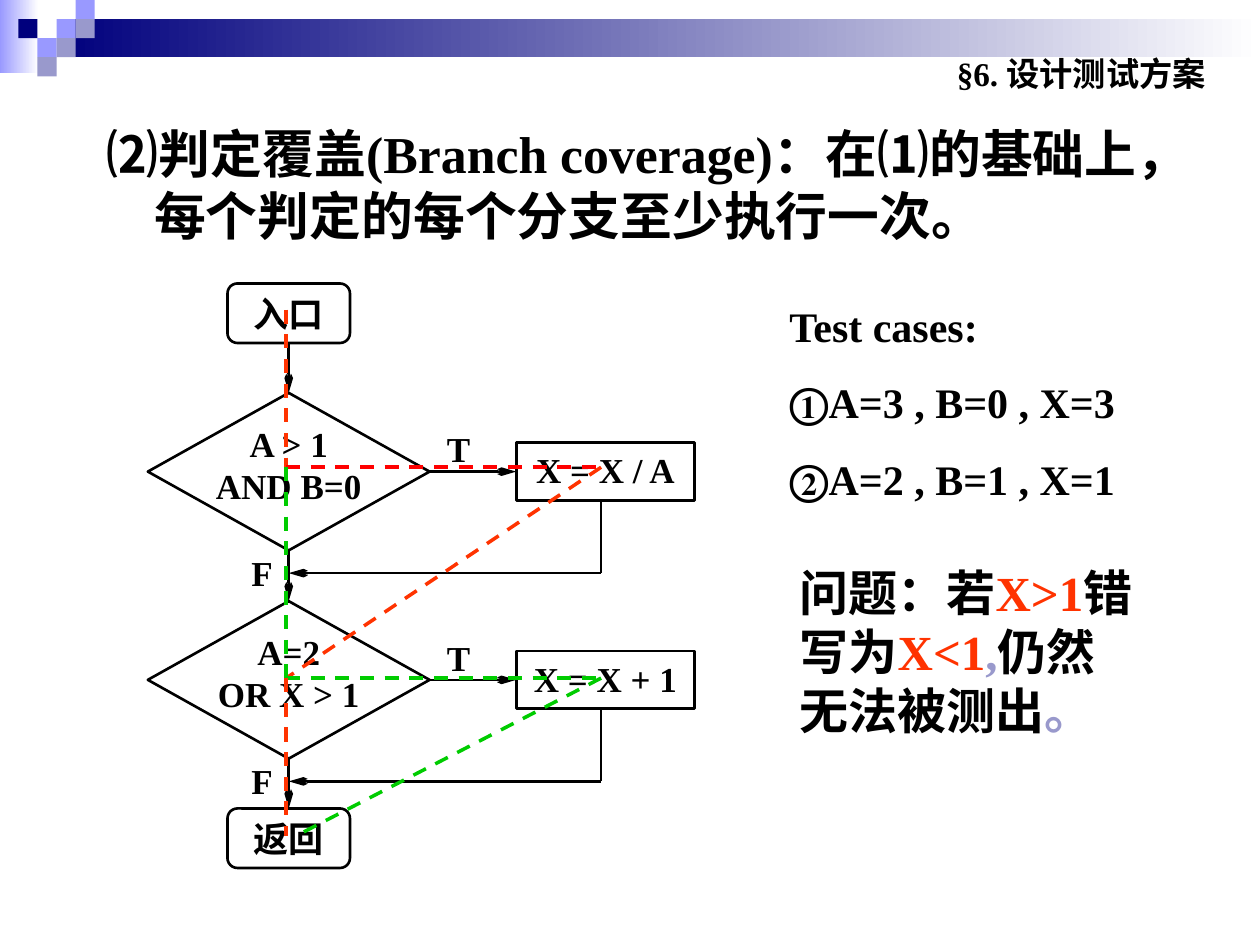
from pptx import Presentation
from pptx.dml.color import RGBColor
from pptx.enum.dml import MSO_LINE
from pptx.enum.shapes import MSO_CONNECTOR, MSO_SHAPE
from pptx.enum.text import MSO_ANCHOR, PP_ALIGN
from pptx.oxml.ns import qn
from pptx.util import Pt
from lxml import etree

RECT = MSO_SHAPE.RECTANGLE
TERMINAL = MSO_SHAPE.FLOWCHART_ALTERNATE_PROCESS
DECISION = MSO_SHAPE.FLOWCHART_DECISION
STRAIGHT = MSO_CONNECTOR.STRAIGHT
DASH = MSO_LINE.DASH
LEFT, CENTER, RIGHT = PP_ALIGN.LEFT, PP_ALIGN.CENTER, PP_ALIGN.RIGHT
TOP, MIDDLE = MSO_ANCHOR.TOP, MSO_ANCHOR.MIDDLE
SIDE_TOP, SIDE_LEFT, SIDE_BOTTOM, SIDE_RIGHT = range(4)

COLORS = {
    "black": "000000", "white": "FFFFFF", "navy": "00007D",
    "periwinkle": "9999FF", "lavender": "9999CC",
    "orange": "FF3300", "red": "FF0000", "green": "00CC00",
}


def rgb(name):
    return RGBColor.from_string(COLORS[name])


class SlideBuilder:
    font = "Times New Roman"
    insets = (7.2, 3.6, 7.2, 3.6)

    def __init__(self, slide):
        self.shapes = slide.shapes

    def style_run(self, run, size, color="black"):
        run.font.name, run.font.size, run.font.bold = self.font, Pt(size), True
        run.font.color.rgb = rgb(color)

    def set_frame(self, frame, anchor, wrap, insets):
        frame.word_wrap, frame.vertical_anchor = wrap, anchor
        (frame.margin_left, frame.margin_top,
         frame.margin_right, frame.margin_bottom) = map(Pt, insets)

    def fill_frame(self, frame, text, size, align, gap=0):
        """Fill the frame, one paragraph per line, with gap points between them."""
        frame.text = text
        for index, paragraph in enumerate(frame.paragraphs):
            paragraph.alignment = align
            paragraph.space_before = Pt(gap if index else 0)
            for run in paragraph.runs:
                self.style_run(run, size)

    def text(self, box, text, size, align=LEFT, anchor=TOP, gap=0):
        frame = self.shapes.add_textbox(*map(Pt, box)).text_frame
        self.set_frame(frame, anchor, True, self.insets)
        self.fill_frame(frame, text, size, align, gap)
        return frame

    def colored_text(self, box, pieces, size):
        """Add one paragraph made of (text, color) pieces."""
        frame = self.text(box, "", size)
        for piece, color in pieces:
            run = frame.paragraphs[0].add_run()
            run.text = piece
            self.style_run(run, size, color)

    def block(self, box, color, fade=False):
        """Draw an unlined rectangle, plain or fading to white on the right."""
        shape = self.shapes.add_shape(RECT, *map(Pt, box))
        shape.shadow.inherit = False
        shape.line.fill.background()
        if fade:
            shape.fill.gradient()
            shape.fill.gradient_angle = 0
            for stop, name in zip(shape.fill.gradient_stops, (color, "white")):
                stop.color.rgb = rgb(name)
        else:
            shape.fill.solid()
            shape.fill.fore_color.rgb = rgb(color)

    def node(self, kind, box, text, anchor=MIDDLE, wrap=False, insets=insets):
        shape = self.shapes.add_shape(kind, *map(Pt, box))
        shape.shadow.inherit = False
        shape.fill.background()
        shape.line.color.rgb, shape.line.width = rgb("black"), Pt(1.5)
        self.set_frame(shape.text_frame, anchor, wrap, insets)
        self.fill_frame(shape.text_frame, text, 20, CENTER)
        return shape

    def line(self, start, end, color="black", width=1.5, dash=None, arrow=False):
        connector = self.shapes.add_connector(STRAIGHT, *map(Pt, (*start, *end)))
        connector.line.color.rgb, connector.line.width = rgb(color), Pt(width)
        if dash:
            connector.line.dash_style = dash
        properties = connector._element.spPr
        if arrow:
            etree.SubElement(properties.find(qn("a:ln")), qn("a:tailEnd"),
                             type="arrow", w="sm", len="lg")
        etree.SubElement(properties, qn("a:effectLst"))
        return connector

    def join(self, source, source_side, target, target_side):
        connector = self.line((0, 0), (0, 0), arrow=True)
        connector.begin_connect(source, source_side)
        connector.end_connect(target, target_side)


def draw_banner(builder):
    cell, left = 10.9, 10.5
    builder.block((0, 0, 22, 42), "periwinkle", fade=True)
    builder.block((left + 2 * cell, cell, 687.7, 2 * cell), "navy", fade=True)
    checkers = [(2, 1, "periwinkle"), (3, 0, "periwinkle"), (3, 1, "lavender"),
                (1, 2, "periwinkle"), (0, 1, "navy"), (2, 2, "lavender"),
                (1, 3, "lavender")]
    for column, row, color in checkers:
        builder.block((left + column * cell, row * cell, cell, cell), color)


def draw_texts(builder):
    title = builder.text(
        (54, 66, 612, 84),
        "⑵判定覆盖(Branch coverage)：在⑴的基础上，每个判定的每个分支至少执行一次。", 29.6)
    hanging = title.paragraphs[0]._p.get_or_add_pPr()
    hanging.set("marL", str(Pt(27)))
    hanging.set("indent", str(-Pt(27)))
    builder.text((468, 24, 228, 36), "§6. 设计测试方案", 19, RIGHT, MIDDLE)
    builder.text((444, 168, 216, 124),
                 "Test cases:\n①A=3 , B=0 , X=3\n②A=2 , B=1 , X=1", 24, gap=15)
    builder.colored_text((450, 318, 210, 108), [
        ("问题：若", "black"), ("X>1", "orange"), ("错写为", "black"),
        ("X<1", "orange"), (",", "lavender"), ("仍然无法被测出", "black"),
        ("。", "lavender")], 28)


def draw_flowchart(builder):
    spine, branch, stage_step = 165, 343.5, 119
    previous = builder.node(TERMINAL, (130, 162, 70, 34), "入口")
    stages = [("A > 1\nAND B=0", "X = X / A"), ("A=2\nOR X > 1", "X = X + 1")]
    for index, (condition, action) in enumerate(stages):
        top = 224.5 + index * stage_step
        decision = builder.node(DECISION, (84.5, top, 161, 90), condition,
                                insets=(1.5, 0.5, 1.5, 9))
        assignment = builder.node(RECT, (295, top + 28.5, 102, 33), action,
                                  anchor=TOP, wrap=True)
        builder.join(previous, SIDE_BOTTOM, decision, SIDE_TOP)
        builder.join(decision, SIDE_RIGHT, assignment, SIDE_LEFT)
        merge = top + 103
        builder.line((branch, top + 61.5), (branch, merge))
        builder.line((branch, merge), (spine, merge), arrow=True)
        builder.text((241, top + 16.5, 42, 32), "T", 20, CENTER)
        builder.text((133, top + 87, 30, 32), "F", 20, RIGHT)
        previous = decision
    exit_node = builder.node(TERMINAL, (130, 462, 70, 34), "返回")
    builder.join(previous, SIDE_BOTTOM, exit_node, SIDE_TOP)


def draw_test_paths(builder):
    entry, leave = (163.5, 177), (163.5, 477.5)
    first_test, first_action = (163.5, 267), (343.5, 267)
    second_test, second_action = (163.5, 387.5), (343.5, 387.5)
    segments = [
        (entry, first_test, "orange"),
        (first_test, first_action, "red"),
        (first_action, second_test, "orange"),
        (second_test, second_action, "green"),
        (second_action, (169.5, 477.5), "green"),
        (second_test, leave, "orange"),
        (first_test, second_test, "green"),
    ]
    for start, end, color in segments:
        builder.line(start, end, color, 2, DASH)


def main():
    presentation = Presentation()
    presentation.slide_width, presentation.slide_height = Pt(720), Pt(540)
    builder = SlideBuilder(presentation.slides.add_slide(presentation.slide_layouts[6]))
    draw_banner(builder)
    draw_texts(builder)
    draw_flowchart(builder)
    draw_test_paths(builder)
    presentation.save("out.pptx")


if __name__ == "__main__":
    main()
